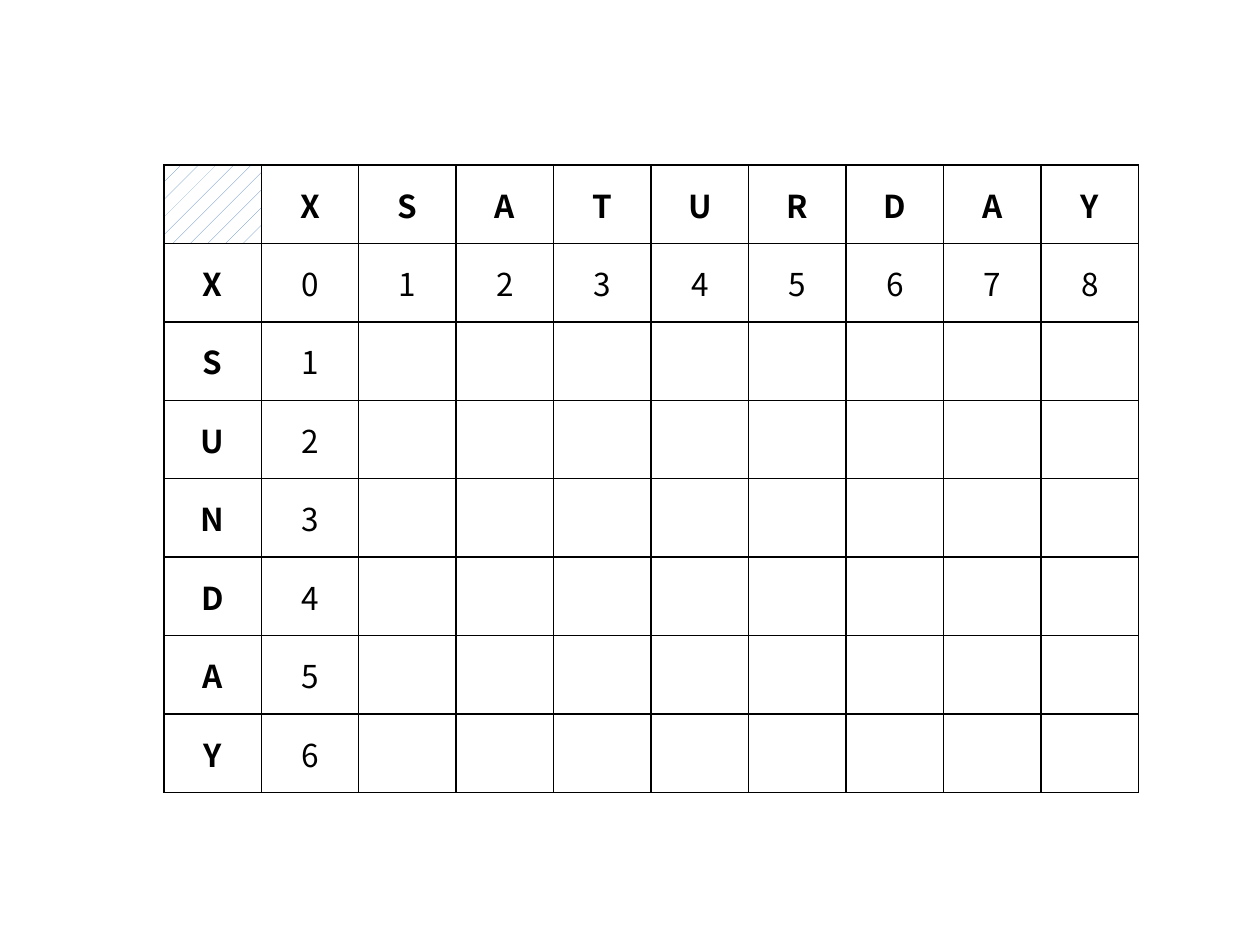
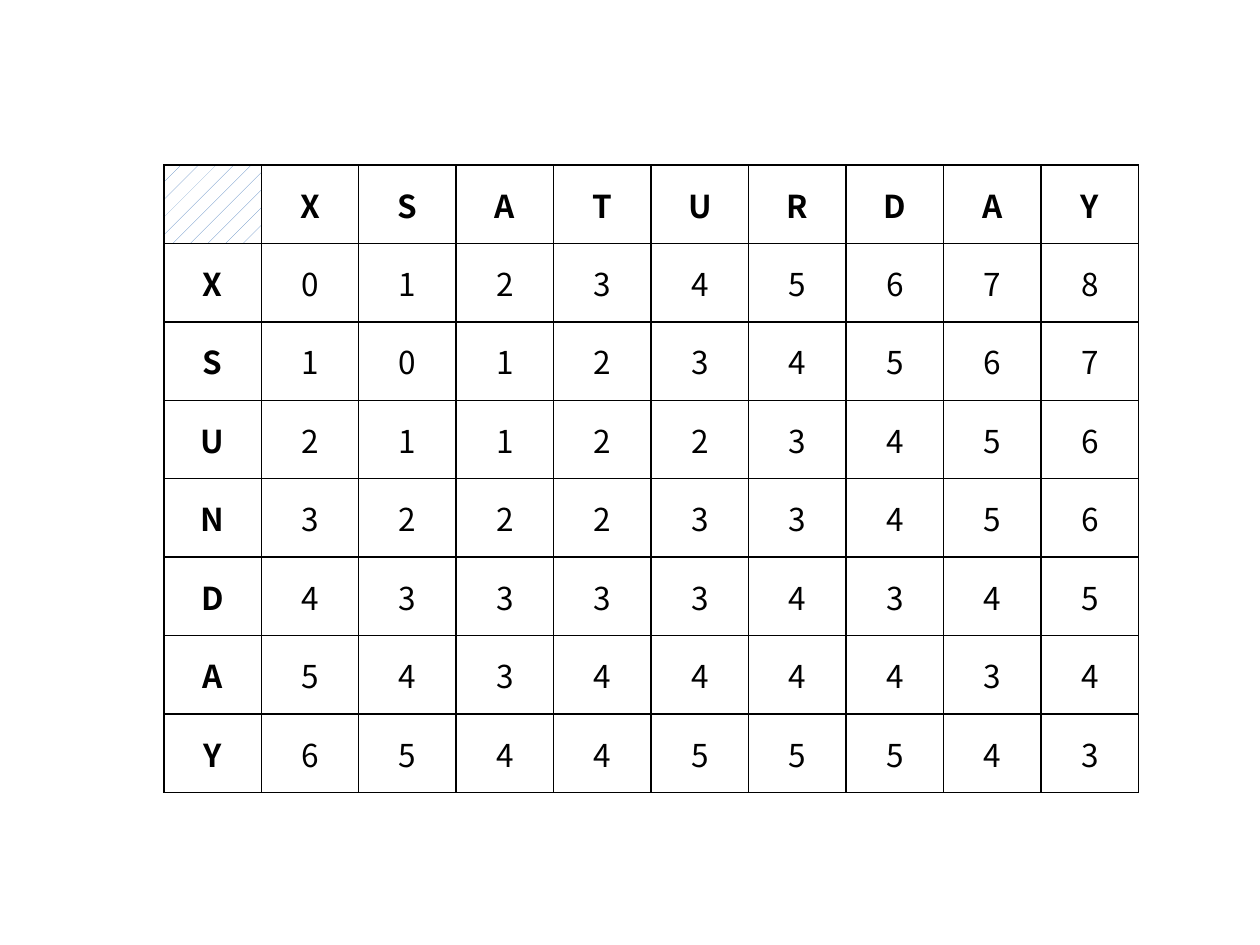
from itertools import product
from lxml.etree import SubElement
from pptx import Presentation
from pptx.dml.color import RGBColor
from pptx.enum.dml import MSO_PATTERN
from pptx.enum.text import MSO_ANCHOR, PP_ALIGN
from pptx.oxml.ns import qn
from pptx.util import Inches, Pt

COLORS = {"ink": "000000", "hatch": "4F81BD", "paper": "FFFFFF"}
SLIDE_WIDTH, SLIDE_HEIGHT = Inches(10), Inches(7.5)
GRID_LEFT, GRID_TOP = Inches(1.3), Inches(1.31)
GRID_WIDTH, GRID_HEIGHT = Inches(7.74), Inches(4.98)
SOURCE_WORD, TARGET_WORD = "SUNDAY", "SATURDAY"
START_MARK = "X"
GRID_FORMAT = {"first_row": False, "horz_banding": False}
CELL_FORMAT = {"vertical_anchor": MSO_ANCHOR.MIDDLE}
FONT_FORMAT = {"name": "Noto Sans CJK KR", "size": Pt(18)}


def apply_format(target, values):
    for attribute, value in values.items():
        setattr(target, attribute, value)


def color(name):
    return RGBColor.from_string(COLORS[name])


def edit_distances(source, target):
    distances = [list(range(len(target) + 1))]
    for row, source_letter in enumerate(source, 1):
        above, current = distances[-1], [row]
        for column, target_letter in enumerate(target, 1):
            substitution = above[column - 1] + (source_letter != target_letter)
            current.append(min(above[column] + 1, current[-1] + 1, substitution))
        distances.append(current)
    return distances


def draw_borders(cell):
    properties = cell._tc.get_or_add_tcPr()
    for side in ("lnL", "lnR", "lnT", "lnB"):
        border = SubElement(properties, qn(f"a:{side}"), w=str(Pt(1)))
        ink = SubElement(border, qn("a:solidFill"))
        SubElement(ink, qn("a:srgbClr"), val=COLORS["ink"])


def write_label(cell, label, bold):
    apply_format(cell, CELL_FORMAT)
    paragraph = cell.text_frame.paragraphs[0]
    paragraph.alignment = PP_ALIGN.CENTER
    run = paragraph.add_run()
    run.text = str(label)
    apply_format(run.font, {**FONT_FORMAT, "bold": bold})
    run.font.color.rgb = color("ink")


def hatch_corner(cell):
    cell.fill.patterned()
    cell.fill.pattern = MSO_PATTERN.PERCENT_5
    cell.fill.fore_color.rgb = color("hatch")
    cell.fill.back_color.rgb = color("paper")


def add_distance_grid(slide, completed):
    row_letters, column_letters = START_MARK + SOURCE_WORD, START_MARK + TARGET_WORD
    rows, columns = len(row_letters) + 1, len(column_letters) + 1
    distances = edit_distances(SOURCE_WORD, TARGET_WORD)
    grid = slide.shapes.add_table(
        rows, columns, GRID_LEFT, GRID_TOP, GRID_WIDTH, GRID_HEIGHT
    ).table
    apply_format(grid, GRID_FORMAT)
    for row, column in product(range(rows), range(columns)):
        cell = grid.cell(row, column)
        draw_borders(cell)
        cell.fill.background()
        if row == column == 0:
            hatch_corner(cell)
        elif row == 0:
            write_label(cell, column_letters[column - 1], True)
        elif column == 0:
            write_label(cell, row_letters[row - 1], True)
        elif completed or 1 in (row, column):
            write_label(cell, distances[row - 1][column - 1], False)


def main():
    presentation = Presentation()
    apply_format(presentation, {"slide_width": SLIDE_WIDTH, "slide_height": SLIDE_HEIGHT})
    for completed in (False, True):
        slide = presentation.slides.add_slide(presentation.slide_layouts[6])
        add_distance_grid(slide, completed)
    presentation.save("out.pptx")


main()
